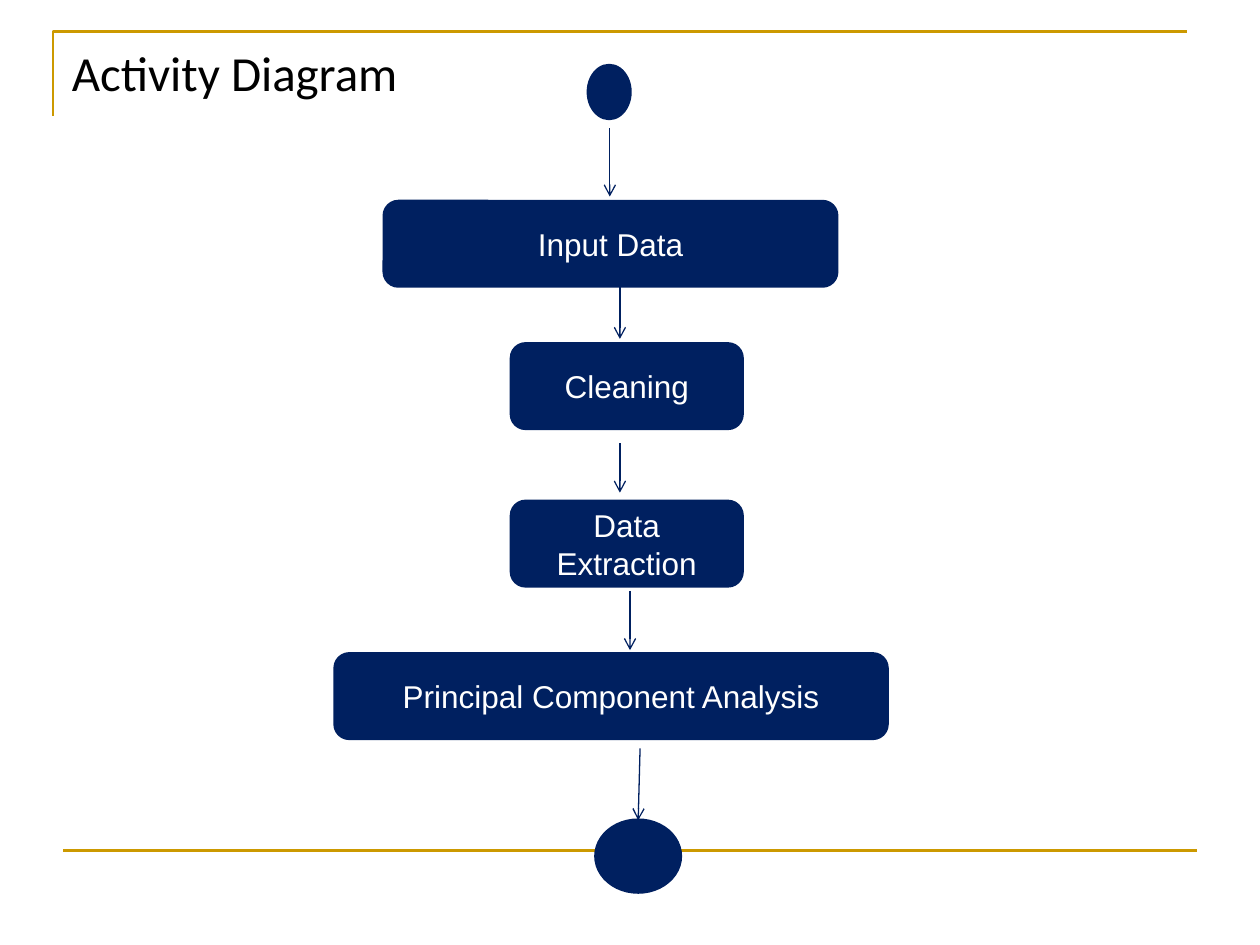
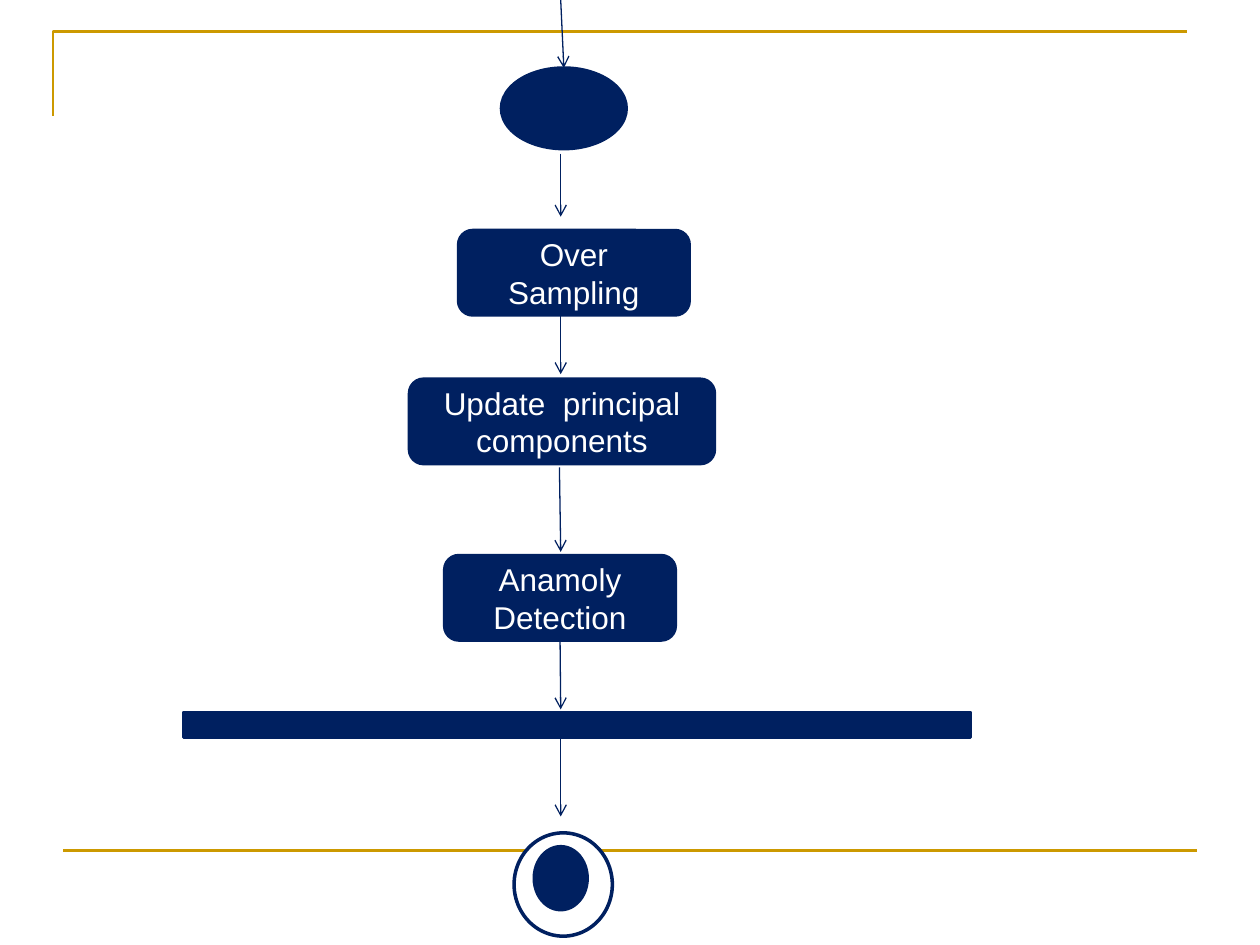
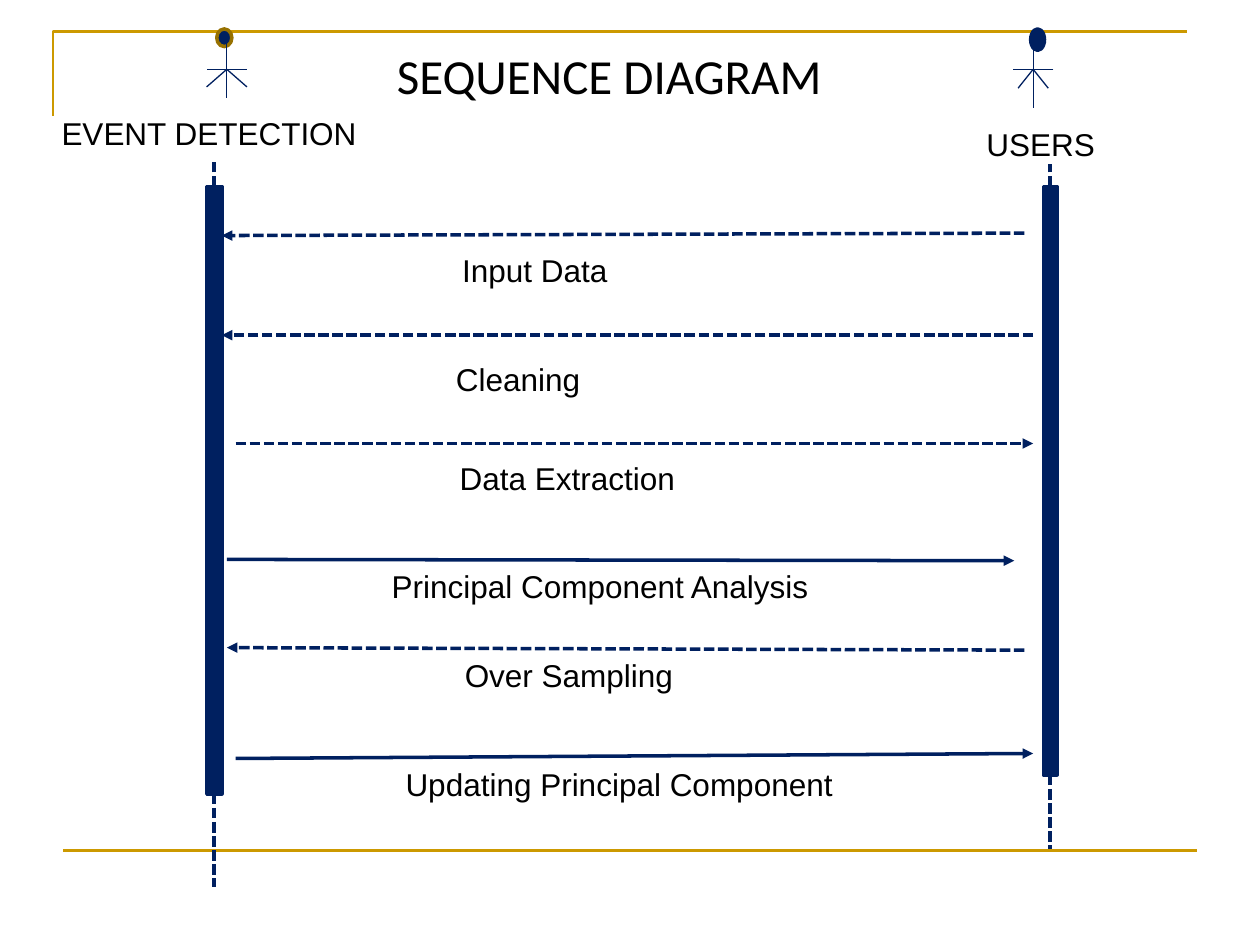
from lxml.etree import SubElement
from pptx import Presentation
from pptx.dml.color import RGBColor
from pptx.enum.dml import MSO_LINE
from pptx.enum.shapes import MSO_CONNECTOR, MSO_SHAPE
from pptx.enum.text import MSO_ANCHOR, MSO_AUTO_SIZE, PP_ALIGN
from pptx.oxml.ns import qn
from pptx.util import Inches, Pt

NAVY = "002060"
GOLD = "CC9900"
DARK_GOLD = "977100"
WHITE = "FFFFFF"
BLACK = "000000"
TITLE_ONLY, BLANK = 5, 6
TOP, BOTTOM = 0, 2
STEP_HEIGHT = 0.67
STEP_WIDTH = 1.83


def color(value):
    return RGBColor.from_string(value)


def format_text(text_frame, size, font_name, font_color, alignment):
    for paragraph in text_frame.paragraphs:
        paragraph.alignment = alignment
        for run in paragraph.runs:
            run.font.size = Pt(size)
            run.font.name = font_name
            run.font.color.rgb = color(font_color)


def add_frame(slide):
    builder = slide.shapes.build_freeform(Inches(0.42), Inches(0.92))
    builder.add_line_segments(
        [(Inches(0.42), Inches(0.25)), (Inches(9.42), Inches(0.25))], close=False
    )
    corner = builder.convert_to_shape()
    corner.shadow.inherit = False
    corner.fill.background()
    corner.line.color.rgb = color(GOLD)
    corner.line.width = Pt(1.5)
    add_line(slide, (0.5, 6.75), (9.5, 6.75), 1.5, line_color=GOLD)


def add_framed_slide(presentation, layout_index):
    slide = presentation.slides.add_slide(presentation.slide_layouts[layout_index])
    add_frame(slide)
    return slide


def set_title(slide, text, left, top, width):
    title = slide.shapes.title
    title.left, title.top = Inches(left), Inches(top)
    title.width, title.height = Inches(width), Inches(0.57)
    title.text_frame.text = text
    title.text_frame.vertical_anchor = MSO_ANCHOR.TOP
    title.text_frame.auto_size = MSO_AUTO_SIZE.NONE
    format_text(title.text_frame, 28, "Calibri", BLACK, PP_ALIGN.LEFT)


def add_solid(slide, kind, left, top, width, height, fill=NAVY, outline=NAVY):
    shape = slide.shapes.add_shape(
        kind, Inches(left), Inches(top), Inches(width), Inches(height)
    )
    shape.shadow.inherit = False
    shape.fill.solid()
    shape.fill.fore_color.rgb = color(fill)
    shape.line.color.rgb = color(outline)
    shape.line.width = Pt(2)
    return shape


def add_node(slide, left, top, width, height, fill=NAVY):
    return add_solid(
        slide, MSO_SHAPE.FLOWCHART_CONNECTOR, left, top, width, height, fill
    )


def add_step(slide, text, left, top, width=STEP_WIDTH):
    step = add_solid(
        slide, MSO_SHAPE.ROUNDED_RECTANGLE, left, top, width, STEP_HEIGHT
    )
    step.text_frame.text = text
    step.text_frame.vertical_anchor = MSO_ANCHOR.MIDDLE
    format_text(step.text_frame, 18, "Arial", WHITE, PP_ALIGN.CENTER)
    return step


def add_label(slide, text, left, top, width, wrap=True):
    label = slide.shapes.add_textbox(
        Inches(left), Inches(top), Inches(width), Inches(0.4)
    )
    label.text_frame.text = text
    label.text_frame.word_wrap = wrap
    label.text_frame.auto_size = MSO_AUTO_SIZE.SHAPE_TO_FIT_TEXT
    format_text(label.text_frame, 18, "Arial", BLACK, PP_ALIGN.LEFT)


def add_line(slide, start, end, width=0.75, dashed=False, arrowhead=None,
             line_color=NAVY):
    connector = slide.shapes.add_connector(
        MSO_CONNECTOR.STRAIGHT, *(Inches(value) for value in (*start, *end))
    )
    connector.line.color.rgb = color(line_color)
    connector.line.width = Pt(width)
    if dashed:
        connector.line.dash_style = MSO_LINE.SQUARE_DOT
    properties = connector._element.spPr
    if arrowhead:
        SubElement(properties.find(qn("a:ln")), qn("a:tailEnd"), type=arrowhead)
    SubElement(properties, qn("a:effectLst"))
    return connector


def add_flow(slide, start, end):
    return add_line(slide, start, end, arrowhead="arrow")


def add_message(slide, start, end, dashed=True):
    add_line(slide, start, end, 2, dashed, "triangle")


def add_stick_body(slide, center, top, leg_spread, leg_bottom):
    shoulder = 0.55
    add_line(slide, (center, top), (center, top + 0.47))
    for side in (-1, 1):
        add_line(slide, (center, shoulder), (center + side * leg_spread, leg_bottom))
    add_line(slide, (center + 0.16, shoulder), (center - 0.16, shoulder))


def add_lifeline(slide, left, width, bar_bottom, line_top, line_bottom):
    bar_top = 1.48
    center = left + width / 2
    bar = add_solid(
        slide, MSO_SHAPE.RECTANGLE, left, bar_top, width, bar_bottom - bar_top
    )
    for side, bar_end, line_end in (
        (TOP, bar_top, line_top), (BOTTOM, bar_bottom, line_bottom)
    ):
        tail = add_line(slide, (center, bar_end), (center, line_end), 2, dashed=True)
        tail.begin_connect(bar, side)


def build_activity_start(presentation):
    slide = add_framed_slide(presentation, TITLE_ONLY)
    set_title(slide, "Activity Diagram", 0.47, 0.29, 4.06)
    add_node(slide, 4.67, 0.52, 0.33, 0.42)
    add_step(slide, "Input Data", 3.05, 1.6, 3.59)
    add_step(slide, "Cleaning", 4.06, 2.73)
    add_step(slide, "Data\nExtraction", 4.06, 3.98)
    add_step(slide, "Principal Component Analysis", 2.66, 5.19, 4.38)
    continuation = add_node(slide, 4.73, 6.51, 0.67, 0.57)
    for center, top, bottom in (
        (4.84, 1.02, 1.56), (4.92, 2.19, 2.69), (4.92, 3.52, 3.91), (5, 4.69, 5.16)
    ):
        add_flow(slide, (center, top), (center, bottom))
    add_flow(slide, (5.08, 5.94), (5.07, 6.51)).end_connect(continuation, TOP)


def build_activity_end(presentation):
    slide = add_framed_slide(presentation, BLANK)
    continuation = add_node(slide, 3.98, 0.54, 0.99, 0.64)
    add_step(slide, "Over Sampling", 3.64, 1.83)
    add_step(slide, "Update  principal components", 3.25, 3.01, 2.42)
    detection = add_step(slide, "Anamoly Detection", 3.53, 4.41)
    add_solid(slide, MSO_SHAPE.MATH_MINUS, 0.33, 5.34, 8.5, 0.83)
    add_node(slide, 4.08, 6.61, 0.78, 0.82, WHITE)
    add_node(slide, 4.24, 6.72, 0.42, 0.5)
    add_flow(slide, (4.45, 0), (4.48, 0.54)).end_connect(continuation, TOP)
    for top, bottom in ((1.22, 1.72), (2.47, 2.97), (5.86, 6.48)):
        add_flow(slide, (4.45, top), (4.45, bottom))
    add_flow(slide, (4.44, 3.71), (4.45, 4.38))
    add_flow(slide, (4.45, 5.08), (4.45, 5.63)).begin_connect(detection, BOTTOM)


def build_sequence(presentation):
    slide = add_framed_slide(presentation, TITLE_ONLY)
    set_title(slide, "SEQUENCE DIAGRAM", 3.05, 0.31, 4.38)

    add_solid(
        slide, MSO_SHAPE.OVAL, 1.72, 0.23, 0.12, 0.14, outline=DARK_GOLD
    )
    add_stick_body(slide, 1.8, 0.31, 0.16, 0.69)
    add_label(slide, "EVENT DETECTION", 0.39, 0.86, 2.97)
    add_lifeline(slide, 1.64, 0.12, 6.3, 1.28, 7.04)

    add_node(slide, 8.18, 0.23, 0.11, 0.17)
    add_stick_body(slide, 8.2, 0.39, 0.12, 0.7)
    add_label(slide, "USERS", 7.73, 0.94, 1.11)
    add_lifeline(slide, 8.28, 0.11, 6.15, 1.3, 6.74)

    add_message(slide, (8.13, 1.85), (1.76, 1.87))
    add_message(slide, (8.2, 2.66), (1.76, 2.66))
    add_message(slide, (1.87, 3.52), (8.2, 3.52))
    add_message(slide, (1.8, 4.44), (8.05, 4.45), dashed=False)
    add_message(slide, (8.13, 5.16), (1.8, 5.14))
    add_message(slide, (1.87, 6.02), (8.2, 5.98), dashed=False)

    add_label(slide, "Input Data", 3.57, 1.94, 1.37, wrap=False)
    add_label(slide, "Cleaning", 3.52, 2.81, 2.38)
    add_label(slide, "Data Extraction", 3.55, 3.59, 2.23)
    add_label(slide, "Principal Component Analysis", 3.01, 4.45, 3.71)
    add_label(slide, "Over Sampling", 3.59, 5.16, 2.58)
    add_label(slide, "Updating Principal Component", 3.12, 6.02, 3.91)


def main():
    presentation = Presentation()
    presentation.slide_width = Inches(10)
    presentation.slide_height = Inches(7.5)
    build_activity_start(presentation)
    build_activity_end(presentation)
    build_sequence(presentation)
    presentation.save("out.pptx")


if __name__ == "__main__":
    main()
